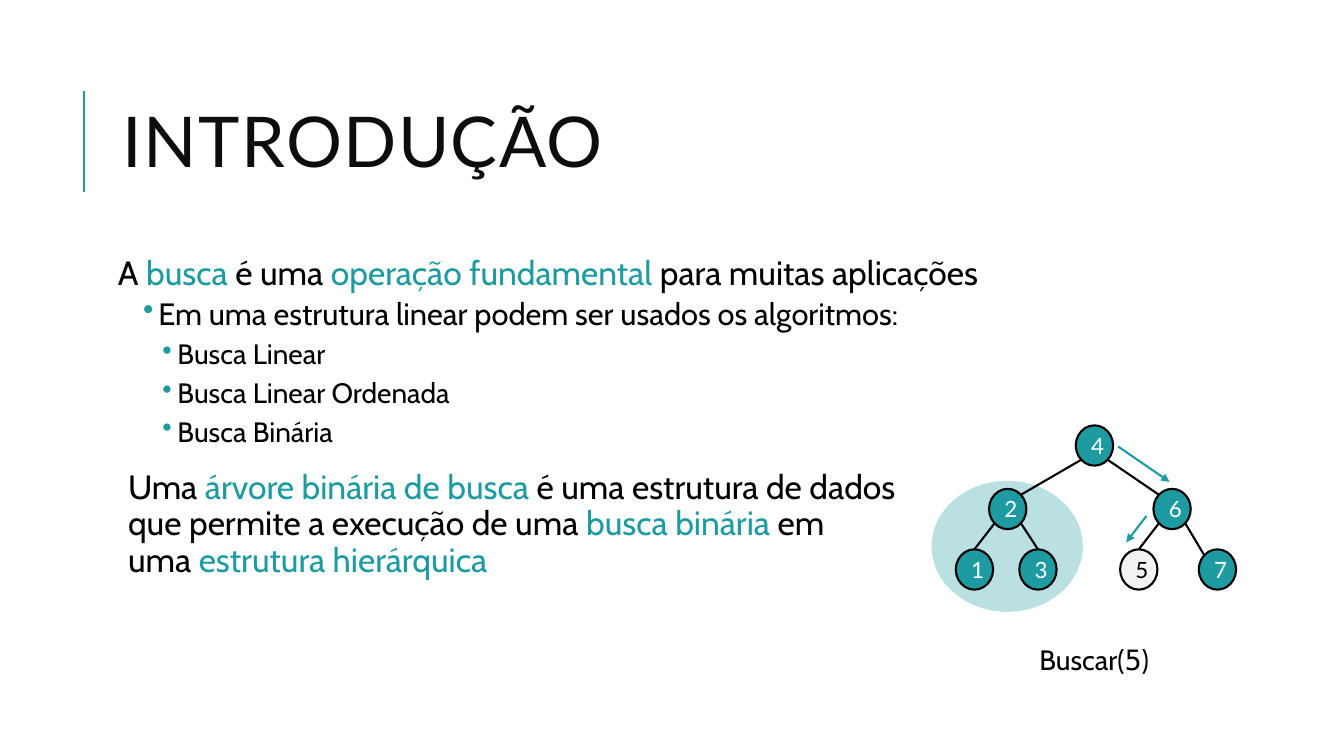
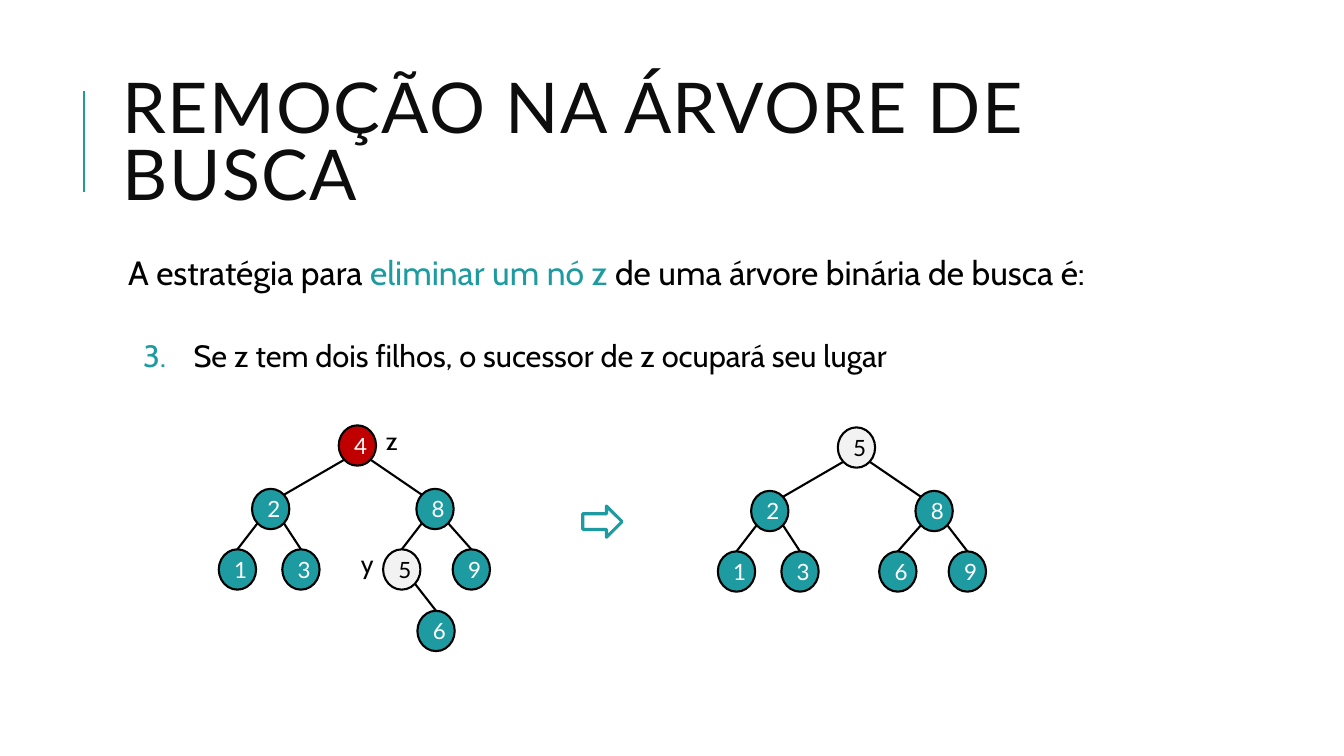
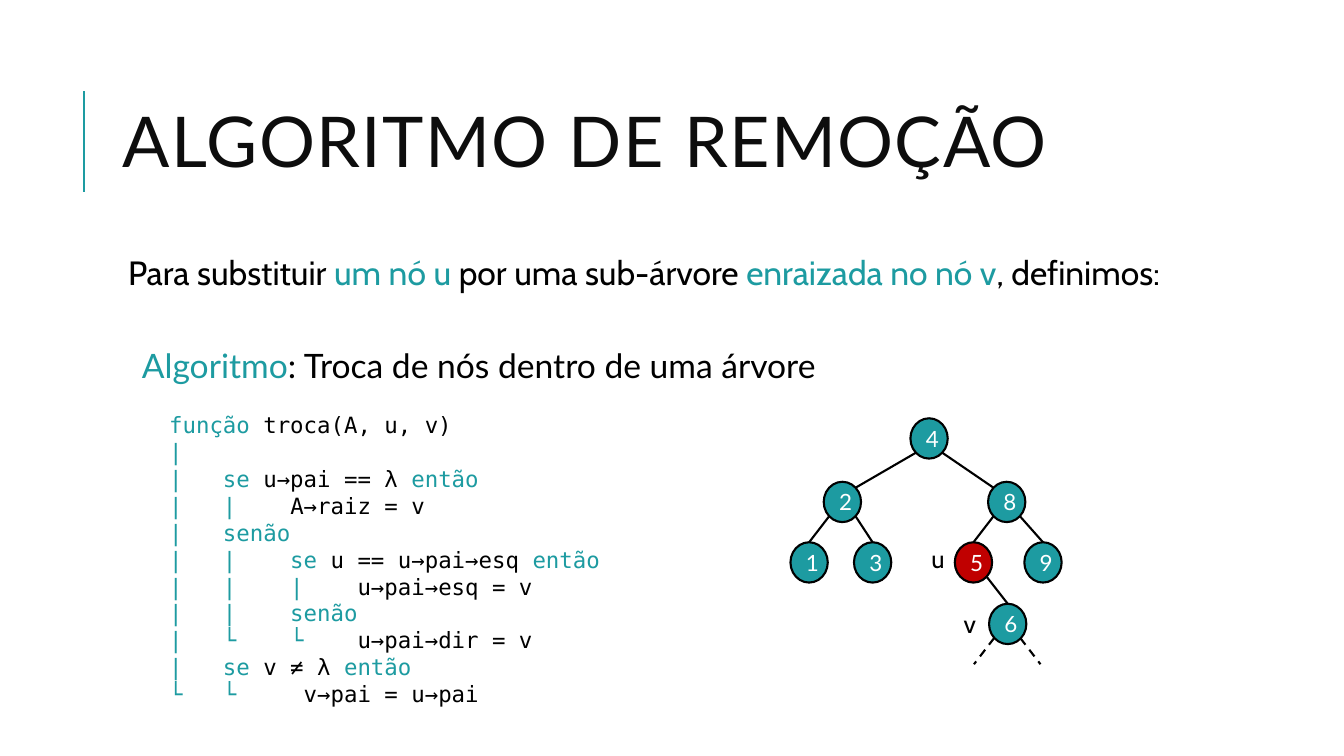
from dataclasses import dataclass

from lxml import etree
from pptx import Presentation
from pptx.dml.color import RGBColor
from pptx.enum import dml, shapes, text
from pptx.oxml import ns
from pptx.util import Inches, Pt


@dataclass(frozen=True)
class Theme:
    accent: str = "1D9BA1"
    ink: str = "000000"
    heading: str = "0D0D0D"
    paper: str = "FFFFFF"
    pale: str = "F2F2F2"
    alert: str = "C00000"
    body: str = "Cabin"
    display: str = "Lato"
    mono: str = "DejaVu Sans Mono"
    title_size: int = 50
    lead_size: int = 24
    item_size: int = 22
    subitem_size: int = 20
    label_size: int = 18
    node_size: int = 16
    code_size: int = 16
    stroke: float = 1.5


T = Theme()

# Content: asterisks enclose highlighted words
# Paragraph styles: size, left margin, first-line indent, before, after, bullet
STYLES = {
    "plain": (T.lead_size, 0, 0, 12, 2, None),
    "lead": (T.lead_size, 0.1, 0, 12, 2, None),
    "item": (T.item_size, 0.4, -0.15, 2, 4, "dot"),
    "subitem": (T.subitem_size, 0.59, -0.15, 2, 4, "dot"),
    "step": (T.item_size, 0.75, -0.5, 32, 4, 3),
}
INTRO = ("INTRODUÇÃO", [
    ("plain", "A *busca* é uma *operação fundamental *para muitas aplicações"),
    ("item", "Em uma estrutura linear podem ser usados os algoritmos:"),
    ("subitem", "Busca Linear"),
    ("subitem", "Busca Linear Ordenada"),
    ("subitem", "Busca Binária"),
    ("lead", "Uma *árvore binária de busca *é uma estrutura de dados \n"
             "que permite a execução de uma *busca binária *em \n"
             "uma *estrutura hierárquica*"),
])
REMOVAL = ("REMOÇÃO NA ÁRVORE DE BUSCA", [
    ("lead", "A estratégia para *eliminar um nó z *de uma árvore binária de busca é:"),
    ("step", "Se z tem dois filhos, o sucessor de z ocupará seu lugar"),
])
ALGORITHM = ("ALGORITMO DE REMOÇÃO", [
    ("lead", "Para substituir *um nó u *por uma sub-árvore *enraizada no nó v*, definimos:"),
])
CODE_HEADING = "*Algoritmo*: Troca de nós dentro de uma árvore"
CODE = [
    "*função* troca(A, u, v)",
    "*|*",
    "*|   se *u→pai == λ *então*",
    "*|   |    *A→raiz = v",
    "*|   senão*",
    "*|   |    se *u == u→pai→esq *então*",
    "*|   |    |    *u→pai→esq = v",
    "*|   |    senão*",
    "*|   └    └    *u→pai→dir = v",
    "*|   se *v ≠ λ *então*",
    "*└   └     *v→pai = u→pai",
]

# Trees: a key spells the way down from the root, L for left and R for right
NODE_W, NODE_H = 0.37, 0.4
PLACES = {"": (0, 0), "L": (-0.86, 0.63), "R": (0.77, 0.63),
          "LL": (-1.19, 1.23), "LR": (-0.56, 1.23),
          "RL": (0.44, 1.23), "RR": (1.13, 1.23), "RLR": (0.78, 1.84)}
SEARCH_TREE = {
    "root": (10.67, 4.22),
    "values": {"": 4, "L": 2, "R": 6, "LL": 1, "LR": 3, "RL": 5, "RR": 7},
    "fills": {"RL": T.pale},
    "moved": {"RR": (1.22, 1.23)},
    "halo": (9.24, 4.77, 1.5, 1.3),
    "arrows": [(11.09, 4.43, 11.6, 4.78), (11.37, 5.12, 11.17, 5.38)],
}
BEFORE_TREE = {
    "root": (3.36, 4.22),
    "values": {"": 4, "L": 2, "R": 8, "LL": 1, "LR": 3, "RL": 5, "RR": 9, "RLR": 6},
    "fills": {"": T.alert, "RL": T.pale},
    "labels": [("z", 3.73, 4.17), ("y", 3.48, 5.39)],
}
AFTER_TREE = {
    "root": (8.31, 4.24),
    "values": {"": 5, "L": 2, "R": 8, "LL": 1, "LR": 3, "RL": 6, "RR": 9},
    "fills": {"": T.pale},
    "moved": {"RL": (0.41, 1.23), "RR": (1.1, 1.23)},
}
SWAP_TREE = {
    "root": (9.03, 4.15),
    "values": BEFORE_TREE["values"],
    "fills": {"RL": T.alert},
    "labels": [("u", 9.14, 5.34), ("v", 9.46, 5.99)],
    "stubs": [(10.12, 6.33, 10.32, 6.59), (9.86, 6.33, 9.66, 6.59)],
}


# Drawing helpers
def rgb(color):
    return RGBColor.from_string(color)


def add_xml(parent, tag, **attributes):
    return etree.SubElement(parent, ns.qn(tag), attributes)


def write(paragraph, words, size, font=T.body, color=T.ink, mark=T.accent, mark_font=None):
    paragraph.font.size = Pt(size)
    paragraph.font.name = font
    paragraph.font.color.rgb = rgb(color)
    for index, part in enumerate(words.split("*")):
        for row, piece in enumerate(part.split("\n")):
            if row:
                paragraph.add_line_break()
            if piece:
                run = paragraph.add_run()
                run.text = piece
                if index % 2:
                    run.font.color.rgb = rgb(mark)
                    if mark_font:
                        run.font.name = mark_font


def indent(paragraph, margin, first=0):
    properties = paragraph._p.get_or_add_pPr()
    properties.set("marL", str(Inches(margin)))
    properties.set("indent", str(Inches(first)))
    return properties


def text_frame(parent, x, y, w, h, grow=False):
    frame = parent.add_textbox(*map(Inches, (x, y, w, h))).text_frame
    frame.word_wrap = True
    if grow:
        frame.auto_size = text.MSO_AUTO_SIZE.SHAPE_TO_FIT_TEXT
    return frame


def next_paragraph(frame, first):
    return frame.paragraphs[0] if first else frame.add_paragraph()


def add_line(parent, ends, color=T.ink, dashed=False, arrow=False):
    line = parent.add_connector(shapes.MSO_CONNECTOR.STRAIGHT, *map(Inches, ends))
    line.line.color.rgb = rgb(color)
    line.line.width = Pt(T.stroke)
    if dashed:
        line.line.dash_style = dml.MSO_LINE.DASH
    if arrow:
        add_xml(line.line._get_or_add_ln(), "a:tailEnd", type="triangle")
    add_xml(line._element.spPr, "a:effectLst")


def add_figure(parent, kind, x, y, w, h, fill, stroke=None, width=T.stroke):
    figure = parent.add_shape(kind, *map(Inches, (x, y, w, h)))
    figure.shadow.inherit = False
    figure.fill.solid()
    figure.fill.fore_color.rgb = rgb(fill)
    if stroke:
        figure.line.color.rgb = rgb(stroke)
        figure.line.width = Pt(width)
    else:
        figure.line.fill.background()
    return figure


def add_tree(slide, tree):
    group = slide.shapes.add_group_shape().shapes
    places = {**PLACES, **tree.get("moved", {})}
    left, top = tree["root"]
    reach_x, reach_y = NODE_W / 2 * 0.707, NODE_H / 2 * 0.707

    if "halo" in tree:
        halo = add_figure(group, shapes.MSO_SHAPE.OVAL, *tree["halo"], T.accent)
        tint = halo._element.spPr.find(ns.qn("a:solidFill"))[0]
        add_xml(tint, "a:alpha", val="30000")

    for key, value in tree["values"].items():
        x, y = left + places[key][0], top + places[key][1]
        fill = tree.get("fills", {}).get(key, T.accent)
        node = add_figure(group, shapes.MSO_SHAPE.OVAL, x, y, NODE_W, NODE_H, fill, T.ink)
        label = node.text_frame.paragraphs[0]
        label.alignment = text.PP_ALIGN.CENTER
        write(label, str(value), T.node_size, T.display,
              T.ink if fill == T.pale else T.paper)
        if not key:
            continue
        # Distant children are joined at the near corner, close ones at the top
        side = 1 if key[-1] == "R" else -1
        parent_x, parent_y = places[key[:-1]]
        start = (left + parent_x + NODE_W / 2 + side * reach_x,
                 top + parent_y + NODE_H / 2 + reach_y)
        if abs(places[key][0] - parent_x) > 0.4:
            end = (x + NODE_W / 2 - side * reach_x, y + NODE_H / 2 - reach_y)
        else:
            end = (x + NODE_W / 2, y)
        add_line(group, start + end)

    for name, x, y in tree.get("labels", []):
        write(text_frame(group, x, y, 0.32, 0.4, True).paragraphs[0], name, T.label_size)
    for ends in tree.get("arrows", []):
        add_line(group, ends, T.accent, arrow=True)
    for ends in tree.get("stubs", []):
        add_line(group, ends, dashed=True)


# Shared slide frame: bar, title and body
def add_slide(deck, content):
    heading, body = content
    slide = deck.slides.add_slide(deck.slide_layouts[6])
    add_line(slide.shapes, (0.83, 1.9, 0.83, 0.9), T.accent)

    title = text_frame(slide.shapes, 1.12, 0.64, 10.63, 1.64)
    title.vertical_anchor = text.MSO_ANCHOR.MIDDLE
    title.paragraphs[0].line_spacing = 0.8
    write(title.paragraphs[0], heading, T.title_size, T.display, T.heading)
    title.paragraphs[0].runs[0].font._element.set("spc", "100")

    frame = text_frame(slide.shapes, 1.12, 2.5, 10.63, 4.4)
    frame.margin_left = frame.margin_right = Inches(0.05)
    frame.margin_top = frame.margin_bottom = Inches(0.05)
    for index, (style, words) in enumerate(body):
        size, margin, first, before, after, bullet = STYLES[style]
        paragraph = next_paragraph(frame, index == 0)
        paragraph.line_spacing = 0.9
        paragraph.space_before, paragraph.space_after = Pt(before), Pt(after)
        properties = indent(paragraph, margin, first)
        if bullet:
            add_xml(add_xml(properties, "a:buClr"), "a:srgbClr", val=T.accent)
        if bullet == "dot":
            add_xml(properties, "a:buChar", char="•")
        elif bullet:
            add_xml(properties, "a:buAutoNum", type="arabicPeriod", startAt=str(bullet))
        write(paragraph, words, size)
    return slide


deck = Presentation()
deck.slide_width, deck.slide_height = Inches(13.33), Inches(7.5)

# Introduction
intro = add_slide(deck, INTRO)
caption = text_frame(intro.shapes, 10.21, 6.32, 1.34, 0.44, True)
write(caption.paragraphs[0], "Buscar(*5*)", T.subitem_size, mark=T.ink, mark_font=T.mono)
add_tree(intro, SEARCH_TREE)

# Removal, before and after
removal = add_slide(deck, REMOVAL)
add_figure(removal.shapes, shapes.MSO_SHAPE.RIGHT_ARROW, 5.78, 5.02, 0.39, 0.31,
           T.paper, T.accent, 2.25)
add_tree(removal, BEFORE_TREE)
add_tree(removal, AFTER_TREE)

# Algorithm listing
algorithm = add_slide(deck, ALGORITHM)
listing = text_frame(algorithm.shapes, 1.31, 3.37, 7.44, 3.74, True)
write(listing.paragraphs[0], CODE_HEADING, T.lead_size, T.display)
for number, code_line in enumerate(CODE):
    row = next_paragraph(listing, False)
    indent(row, 0.27)
    if number == 0:
        row.space_before = Pt(19)
    write(row, code_line, T.code_size, T.mono)
add_tree(algorithm, SWAP_TREE)

deck.save("out.pptx")
